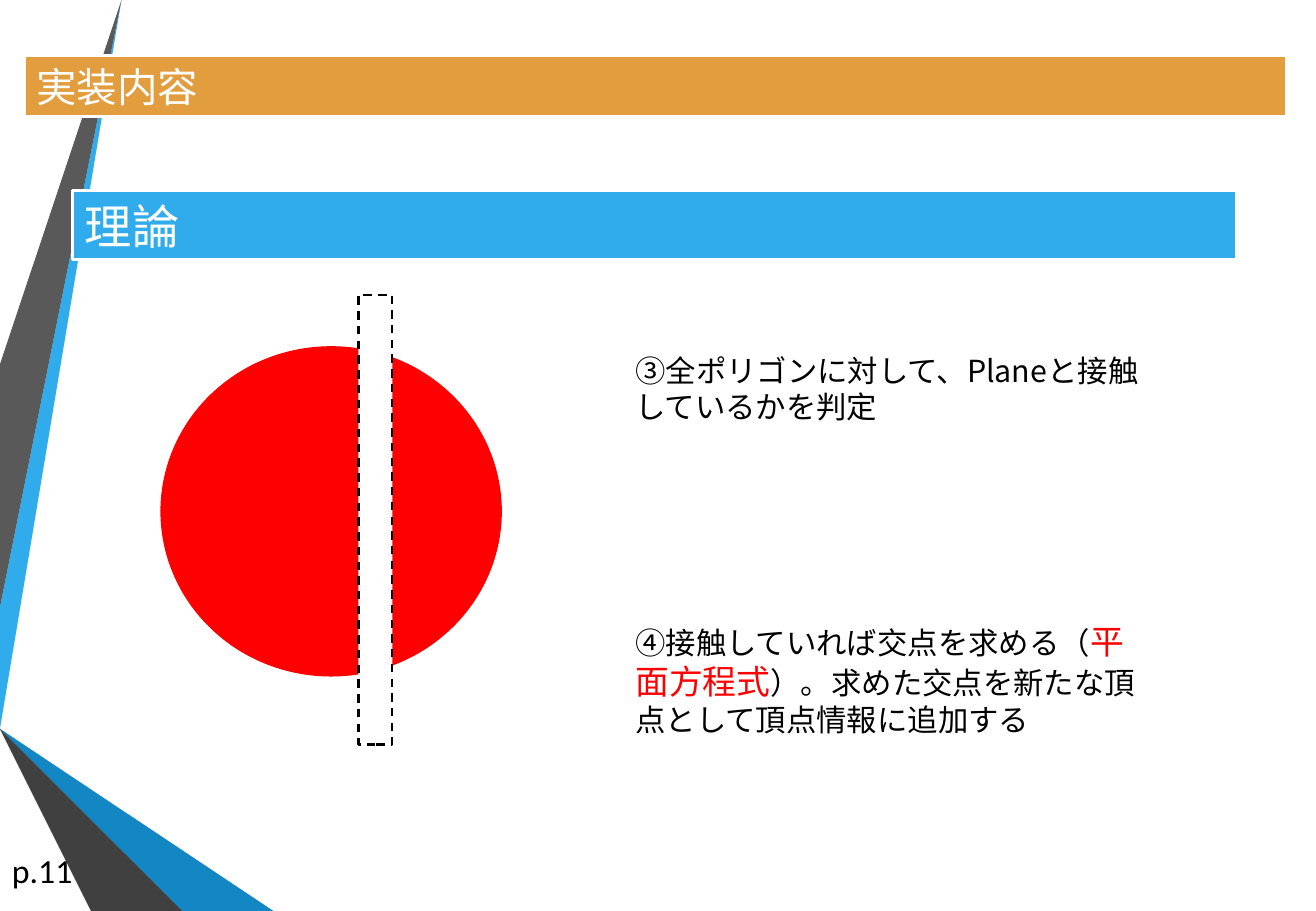
from dataclasses import dataclass

from lxml import etree
from pptx import Presentation
from pptx.dml.color import RGBColor
from pptx.enum.dml import MSO_LINE
from pptx.enum.shapes import MSO_SHAPE
from pptx.enum.text import MSO_ANCHOR, PP_ALIGN
from pptx.oxml.ns import qn
from pptx.util import Inches, Pt

RECTANGLE, OVAL = MSO_SHAPE.RECTANGLE, MSO_SHAPE.OVAL
TOP, MIDDLE = MSO_ANCHOR.TOP, MSO_ANCHOR.MIDDLE
LEFT = PP_ALIGN.LEFT
DASH = MSO_LINE.DASH

JAPANESE, LATIN = "Noto Sans CJK JP", "Calibri"
COLORS = {
    "white": "FFFFFF", "black": "000000", "red": "FF0000", "orange": "E29D3E",
    "sky": "30ACEC", "blue": "1287C3", "navy": "0C5A82",
    "gray": "595959", "charcoal": "404040", "soot": "262626",
}


@dataclass
class Ribbon:
    color: str
    points: list[tuple[float, float]]


@dataclass
class Figure:
    kind: MSO_SHAPE
    frame: tuple[float, float, float, float]
    fill: str
    line: str | None = None
    width: float = 0
    dash: MSO_LINE | None = None


@dataclass
class Span:
    text: str
    size: float
    color: str = "black"
    font: str = JAPANESE


@dataclass
class Label:
    frame: tuple[float, float, float, float]
    spans: list[Span]


RIBBONS = [
    Ribbon("sky", [(0, 5.44), (0, 5.75), (0.24, 5.79), (1.27, 0), (0.97, 0)]),
    Ribbon("gray", [(0.9, 0), (0.6, 0), (0, 3.36), (0, 5.06)]),
    Ribbon("soot", [(0, 6.19), (0, 6.21), (1.01, 7.5), (1.07, 7.5)]),
    Ribbon("navy", [(0, 5.79), (0, 5.8), (1.69, 7.5), (1.76, 7.5)]),
    Ribbon("blue", [(0, 5.79), (1.76, 7.5), (2.53, 7.5), (0.24, 5.79), (0, 5.75)]),
    Ribbon("charcoal", [(0, 6.19), (1.07, 7.5), (1.63, 7.5), (0, 5.86)]),
]
BARS = [
    (Figure(RECTANGLE, (0.2, 0.46, 10.39, 0.5), "orange", "white", 1.75),
     Span("実装内容", 24, "white")),
    (Figure(RECTANGLE, (0.6, 1.57, 9.58, 0.57), "sky", "white", 1.75),
     Span("理論", 28, "white")),
]
FIGURES = [
    Figure(OVAL, (1.32, 2.85, 2.81, 2.72), "red"),
    Figure(RECTANGLE, (2.95, 2.43, 0.28, 3.7), "white", "black", 1.25, DASH),
]
LABELS = [
    Label((5.13, 2.85, 4.47, 0.71),
          [Span("③全ポリゴンに対して、Planeと接触しているかを判定", 18)]),
    Label((5.13, 5.06, 4.47, 1.08),
          [Span("④接触していれば交点を求める（", 18),
           Span("平面方程式", 20, "red"),
           Span("）。求めた交点を新たな頂点として頂点情報に追加する", 18)]),
    Label((0, 6.95, 0.72, 0.44), [Span("p.11", 20, font=LATIN)]),
]


def rgb(name: str) -> RGBColor:
    return RGBColor.from_string(COLORS[name])


def paint(shape, fill: str) -> None:
    shape.shadow.inherit = False
    shape.fill.solid()
    shape.fill.fore_color.rgb = rgb(fill)
    shape.line.fill.background()


def add_ribbon(page, ribbon: Ribbon) -> None:
    start, *rest = ribbon.points
    builder = page.shapes.build_freeform(*start, scale=Inches(1))
    builder.add_line_segments(rest, close=True)
    paint(builder.convert_to_shape(), ribbon.color)


def add_figure(page, figure: Figure):
    shape = page.shapes.add_shape(figure.kind, *map(Inches, figure.frame))
    paint(shape, figure.fill)
    if figure.line:
        shape.line.color.rgb = rgb(figure.line)
        shape.line.width = Pt(figure.width)
        if figure.dash:
            shape.line.dash_style = figure.dash
    return shape


def write(box, spans: list[Span], anchor: MSO_ANCHOR) -> None:
    frame = box.text_frame
    frame.word_wrap = True
    frame.vertical_anchor = anchor
    para = frame.paragraphs[0]
    para.alignment = LEFT
    for span in spans:
        run = para.add_run()
        run.text = span.text
        formats = {"size": Pt(span.size), "name": span.font}
        for name, value in formats.items():
            setattr(run.font, name, value)
        run.font.color.rgb = rgb(span.color)
        # East Asian glyphs take their typeface from a:ea
        east_asian = etree.SubElement(run.font._element, qn("a:ea"))
        east_asian.set("typeface", span.font)


def main() -> None:
    deck = Presentation()
    deck.slide_width, deck.slide_height = Inches(10.83), Inches(7.5)
    page = deck.slides.add_slide(deck.slide_layouts[6])

    # Background ribbons
    for ribbon in RIBBONS:
        add_ribbon(page, ribbon)

    # Heading bars
    for bar, heading in BARS:
        write(add_figure(page, bar), [heading], MIDDLE)

    # Sphere cut by the plane
    for figure in FIGURES:
        add_figure(page, figure)

    # Explanations and page number
    for label in LABELS:
        box = page.shapes.add_textbox(*map(Inches, label.frame))
        write(box, label.spans, TOP)

    deck.save("out.pptx")


if __name__ == "__main__":
    main()
